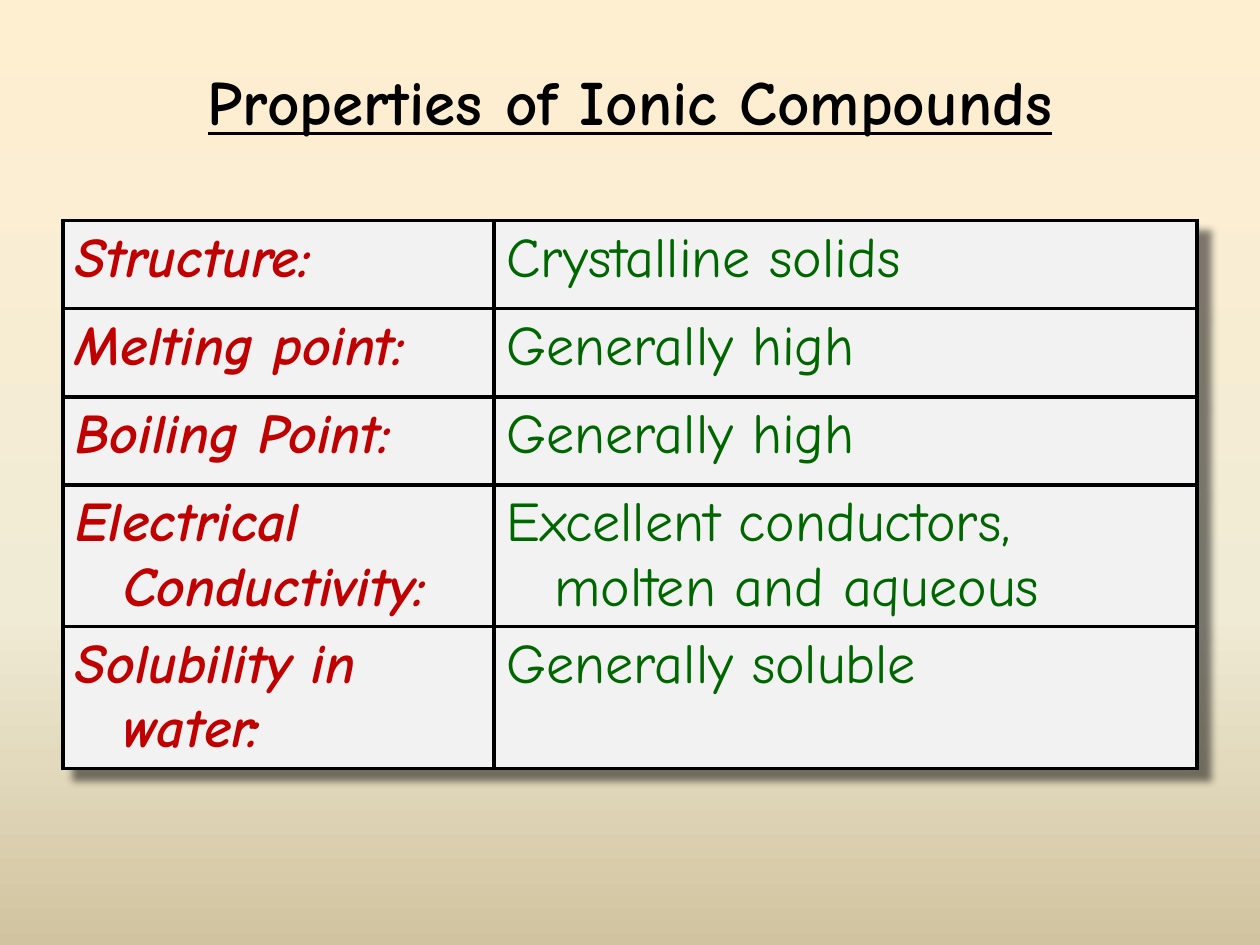
from copy import deepcopy

from lxml import etree
from pptx import Presentation
from pptx.dml.color import RGBColor
from pptx.enum.text import MSO_ANCHOR, PP_ALIGN
from pptx.oxml import parse_xml
from pptx.oxml.ns import nsdecls, qn
from pptx.util import Inches, Pt

MIDDLE = MSO_ANCHOR.MIDDLE
CENTER = PP_ALIGN.CENTER
FONT = "Comic Neue"
BLACK = RGBColor(0x00, 0x00, 0x00)
RED = RGBColor(0xC0, 0x00, 0x00)
GREEN = RGBColor(0x00, 0x66, 0x00)
LIGHT_GRAY = RGBColor(0xF2, 0xF2, 0xF2)
BACKGROUND_STOPS = [
    (0, RGBColor(0xFF, 0xEF, 0xD1)),
    (0.65, RGBColor(0xF0, 0xEB, 0xD5)),
    (1, RGBColor(0xD1, 0xC3, 0x9F)),
]
PROPERTIES = [
    ("Structure:", "Crystalline solids"),
    ("Melting point:", "Generally high"),
    ("Boiling Point:", "Generally high"),
    ("Electrical Conductivity:", "Excellent conductors, molten and aqueous"),
    ("Solubility in water:", "Generally soluble"),
]
COLUMN_WIDTHS = (3.42, 5.58)
ROW_HEIGHTS = (0.7, 0.7, 0.7, 1.12, 1.12)


def set_background(slide):
    """Fill the background with a vertical three-stop gradient."""
    fill = slide.background.fill
    fill.gradient()
    fill.gradient_angle = 270
    stop_list = slide.element.find(".//" + qn("a:gsLst"))
    stop_list.insert(1, deepcopy(stop_list[0]))
    for stop, (position, color) in zip(fill.gradient_stops, BACKGROUND_STOPS):
        stop.position = position
        stop.color.rgb = color


def add_run(paragraph, text, size, color, bold=False, italic=False, underline=False):
    """Append a formatted run to a paragraph."""
    run = paragraph.add_run()
    run.text = text
    font = run.font
    font.name, font.size = FONT, Pt(size)
    font.bold, font.italic, font.underline = bold, italic, underline
    font.color.rgb = color


def add_title(slide, text):
    """Place and fill the title placeholder."""
    title = slide.shapes.title
    title.left, title.top = Inches(0.75), Inches(0.17)
    title.width, title.height = Inches(8.5), Inches(1.25)
    title.text_frame.vertical_anchor = MIDDLE
    paragraph = title.text_frame.paragraphs[0]
    paragraph.alignment = CENTER
    add_run(paragraph, text, 36, BLACK, bold=True, underline=True)


def set_borders(cell):
    """Draw a black line on all four sides of a cell."""
    properties = cell._tc.get_or_add_tcPr()
    for index, side in enumerate(("lnL", "lnR", "lnT", "lnB")):
        line = etree.Element(qn("a:" + side), w=str(Pt(2.25)))
        fill = etree.SubElement(line, qn("a:solidFill"))
        etree.SubElement(fill, qn("a:srgbClr"), val=str(BLACK))
        properties.insert(index, line)


def fill_cell(cell, text, color, emphasized):
    """Write a hanging-indent paragraph into a filled, bordered cell."""
    cell.fill.solid()
    cell.fill.fore_color.rgb = LIGHT_GRAY
    set_borders(cell)
    paragraph = cell.text_frame.paragraphs[0]
    paragraph_properties = paragraph._p.get_or_add_pPr()
    paragraph_properties.set("marL", str(Inches(0.38)))
    paragraph_properties.set("indent", str(-Inches(0.38)))
    add_run(paragraph, text, 32, color, bold=emphasized, italic=emphasized)


def add_shadow(table):
    """Give the table a soft shadow to the lower right."""
    table._tbl.tblPr.insert(0, parse_xml(
        f'<a:effectLst {nsdecls("a")}>'
        f'<a:outerShdw blurRad="{Pt(4)}" dist="{Pt(9)}" dir="2700000" '
        'algn="tl" rotWithShape="0"><a:srgbClr val="000000">'
        '<a:alpha val="50000"/></a:srgbClr></a:outerShdw></a:effectLst>'))


def add_property_table(slide):
    """Add the table of properties and their values."""
    table = slide.shapes.add_table(
        len(PROPERTIES), len(COLUMN_WIDTHS), Inches(0.5), Inches(1.75),
        Inches(sum(COLUMN_WIDTHS)), Inches(sum(ROW_HEIGHTS))).table
    table.first_row = table.horz_banding = False
    for column, width in zip(table.columns, COLUMN_WIDTHS):
        column.width = Inches(width)
    for row, height, (name, value) in zip(table.rows, ROW_HEIGHTS, PROPERTIES):
        row.height = Inches(height)
        fill_cell(row.cells[0], name, RED, True)
        fill_cell(row.cells[1], value, GREEN, False)
    add_shadow(table)


def main():
    """Build the slide and save it."""
    presentation = Presentation()
    presentation.slide_width = Inches(10)
    presentation.slide_height = Inches(7.5)
    slide = presentation.slides.add_slide(presentation.slide_layouts[5])
    set_background(slide)
    add_title(slide, "Properties of Ionic Compounds")
    add_property_table(slide)
    presentation.save("out.pptx")


main()
